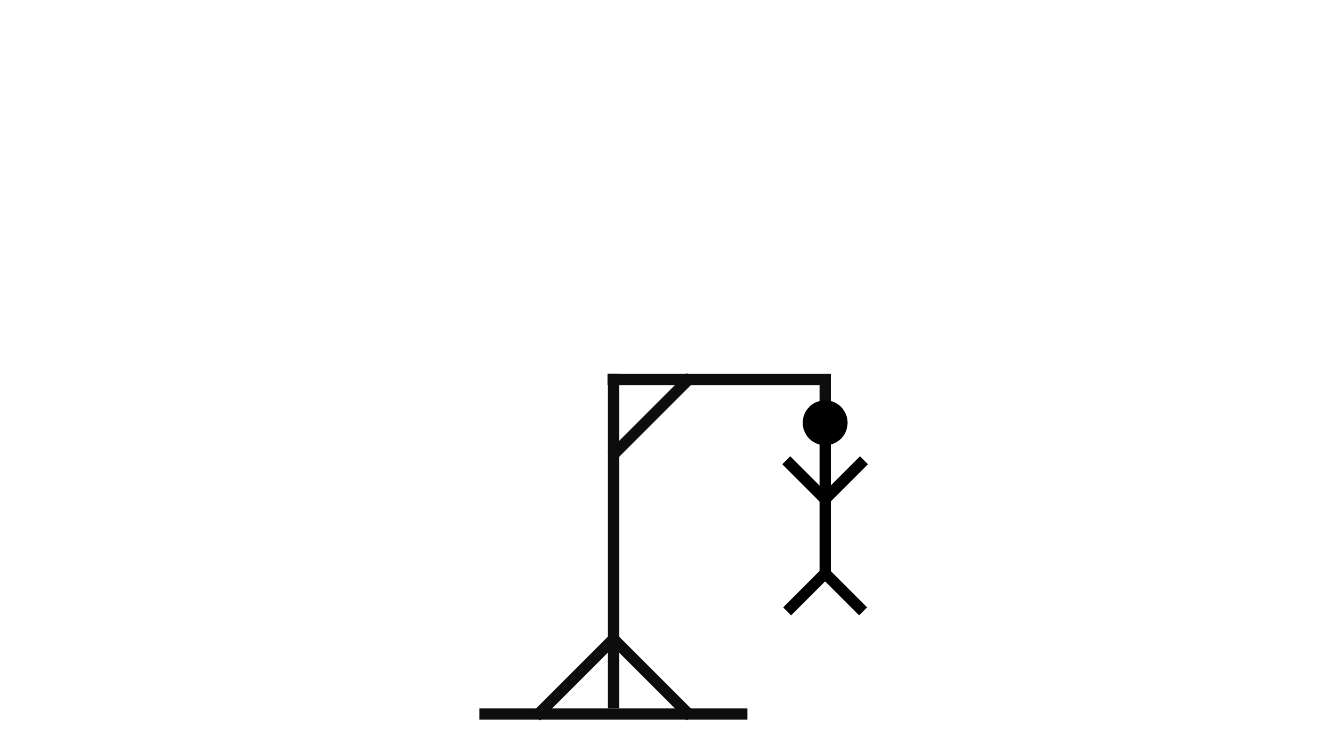
from pptx import Presentation
from pptx import util as u
from pptx.dml.color import RGBColor
from pptx.enum import shapes

WOOD = RGBColor(0x0D, 0x0D, 0x0D)
INK = RGBColor(0, 0, 0)
POST = 438.2  # centre line of the gallows post
ROPE = 589.4  # centre line of the rope and the figure


class Board:
    """Holds the slide and the bar thickness; shapes are placed by centre."""

    def __init__(self, slide, thick):
        self.slide = slide
        self.thick = thick

    def shape(self, kind, x, y, width, height, color, turn=0):
        item = self.slide.shapes.add_shape(
            kind, u.Pt(x - width / 2), u.Pt(y - height / 2),
            u.Pt(width), u.Pt(height))
        item.rotation = turn % 360
        item.shadow.inherit = False
        item.fill.solid()
        item.fill.fore_color.rgb = color
        item.line.fill.background()

    def bar(self, x, y, length, color, turn=0):
        self.shape(shapes.MSO_SHAPE.RECTANGLE, x, y, length, self.thick,
                   color, turn)

    def pair(self, x, y, gap, length, color, turn):
        """Two slanted bars, mirrored about x."""
        for side in (-1, 1):
            self.bar(x + side * gap, y, length, color, side * turn)

    def disc(self, x, y, size, color):
        self.shape(shapes.MSO_SHAPE.OVAL, x, y, size, size, color)


def main():
    deck = Presentation()
    deck.slide_width, deck.slide_height = u.Pt(960), u.Pt(540)
    board = Board(deck.slides.add_slide(deck.slide_layouts[6]), 8)

    # Gallows: base, post and its braces
    board.bar(POST, 510.1, 191.4, WOOD)
    board.bar(POST, 386.5, 239, WOOD, 90)
    board.pair(POST, 483.5, 27, 80, WOOD, 45)

    # Gallows: top beam, corner brace and rope
    board.bar(513.8, 271.1, 159.4, WOOD)
    board.bar(POST + 27, 297.7, 80, WOOD, -45)
    board.bar(ROPE, 283, 16, WOOD, 90)

    # Figure: head, body, legs and arms
    board.disc(ROPE, 302, 32, INK)
    board.bar(ROPE, 364, 95.8, INK, 90)
    board.pair(ROPE, 422.6, 13, 39.8, INK, 45)
    board.pair(ROPE, 342.9, 13.7, 39.8, INK, -45)

    deck.save("out.pptx")


if __name__ == "__main__":
    main()
